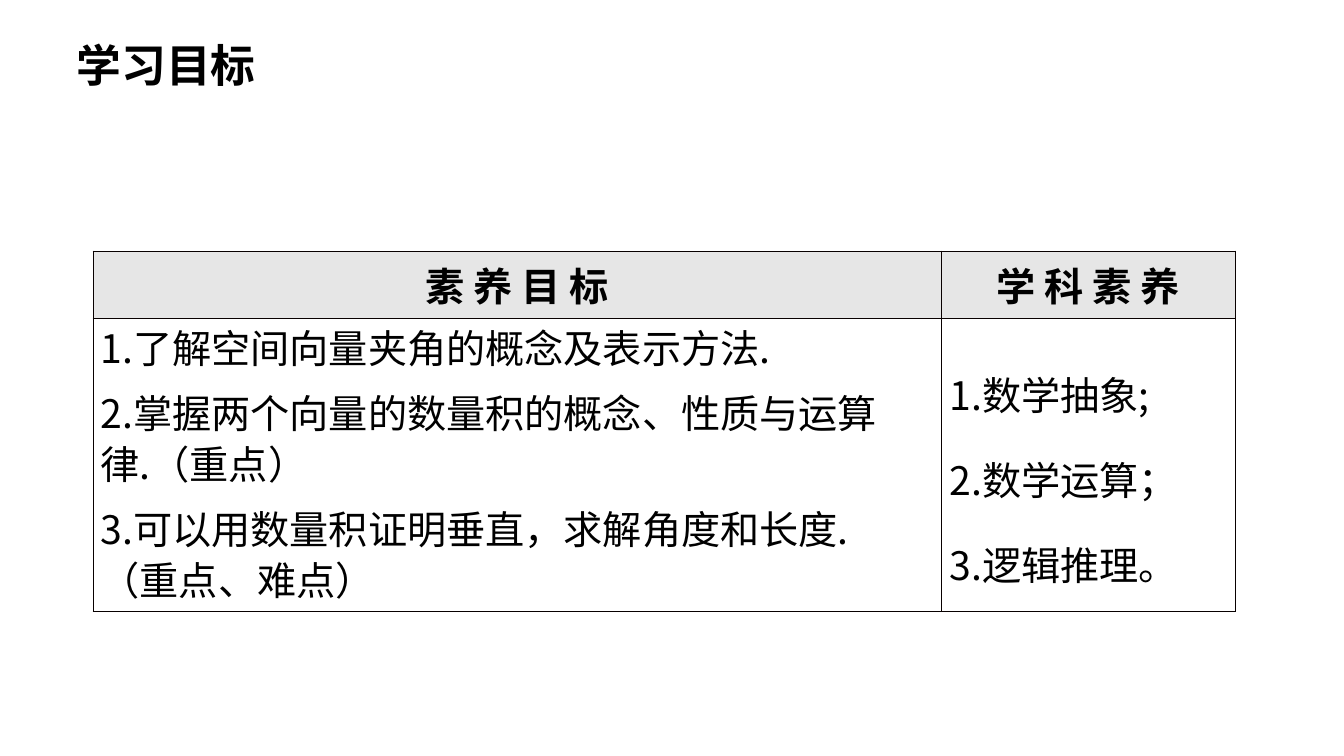
from dataclasses import dataclass

from lxml.etree import SubElement as Sub
from pptx import Presentation as Deck
from pptx.dml.color import RGBColor as Rgb
from pptx.enum.text import MSO_ANCHOR as Anchor, MSO_AUTO_SIZE as Fit, PP_ALIGN as Align
from pptx.oxml.ns import qn
from pptx.util import Cm, Pt

FONT = "Noto Sans CJK SC"
HUES = {"ink": "000000", "head": "E6E6E6", "body": "FFFFFF", "rule": "080000"}
WIDTHS = (21.4, 7.4)
HEIGHTS = (1.19, 6.05)


@dataclass
class Entry:
    row: int
    col: int
    lines: list[str]
    space: float = 1.0
    gap: float = 0
    right: float = 0.2

    @property
    def head(self) -> bool:
        return self.row == 0


ENTRIES = [
    Entry(0, 0, ["素 养 目 标"]),
    Entry(0, 1, ["学 科 素 养"]),
    Entry(1, 0, [
        "1.了解空间向量夹角的概念及表示方法.",
        "2.掌握两个向量的数量积的概念、性质与运算律.（重点）",
        "3.可以用数量积证明垂直，求解角度和长度.（重点、难点）",
    ], space=0.9, gap=10, right=0.6),
    Entry(1, 1, ["1.数学抽象;", "2.数学运算；", "3.逻辑推理。"], space=1.5),
]


def write(frame, lines: list[str], *, size: float = 28, bold: bool = False,
          align=Align.LEFT, space: float = 1.0, gap: float = 0) -> None:
    for i, line in enumerate(lines):
        para = frame.add_paragraph() if i else frame.paragraphs[0]
        para.alignment = align
        para.line_spacing = space
        para.space_before = Pt(gap if i else 0)
        para._p.get_or_add_pPr().set("hangingPunct", "0")
        run = para.add_run()
        run.text = line
        font = run.font
        font.name, font.size, font.bold = FONT, Pt(size), bold
        font.color.rgb = Rgb.from_string(HUES["ink"])
        Sub(run._r.get_or_add_rPr(), qn("a:ea"), typeface=FONT)


def border(cell) -> None:
    props = cell._tc.get_or_add_tcPr()
    for side in ("lnL", "lnR", "lnT", "lnB"):
        edge = Sub(props, qn(f"a:{side}"), w=str(Pt(0.45)))
        fill = Sub(edge, qn("a:solidFill"))
        Sub(fill, qn("a:srgbClr"), val=HUES["rule"])


def draw(grid, entry: Entry) -> None:
    cell = grid.cell(entry.row, entry.col)
    cell.vertical_anchor = Anchor.MIDDLE
    cell.margin_left, cell.margin_right = Cm(0.2), Cm(entry.right)
    cell.margin_top = cell.margin_bottom = Cm(0.13)
    border(cell)
    cell.fill.solid()
    cell.fill.fore_color.rgb = Rgb.from_string(HUES["head" if entry.head else "body"])
    write(cell.text_frame, entry.lines, bold=entry.head,
          align=Align.CENTER if entry.head else Align.LEFT,
          space=entry.space, gap=entry.gap)


def main() -> None:
    deck = Deck()
    deck.slide_width, deck.slide_height = Cm(33.88), Cm(19.05)
    slide = deck.slides.add_slide(deck.slide_layouts[6])

    grid = slide.shapes.add_table(
        len(HEIGHTS), len(WIDTHS), Cm(2.34), Cm(6.32),
        Cm(sum(WIDTHS)), Cm(sum(HEIGHTS))).table
    grid.first_row = grid.horz_banding = False
    for col, width in zip(grid.columns, WIDTHS):
        col.width = Cm(width)
    for row, height in zip(grid.rows, HEIGHTS):
        row.height = Cm(height)
    for entry in ENTRIES:
        draw(grid, entry)

    title = slide.shapes.add_textbox(Cm(0.61), Cm(0.15), Cm(7.16), Cm(2.29)).text_frame
    title.word_wrap = True
    title.auto_size = Fit.SHAPE_TO_FIT_TEXT
    write(title, ["学习目标"], size=32, bold=True, align=Align.CENTER, space=1.5)

    deck.save("out.pptx")


if __name__ == "__main__":
    main()
